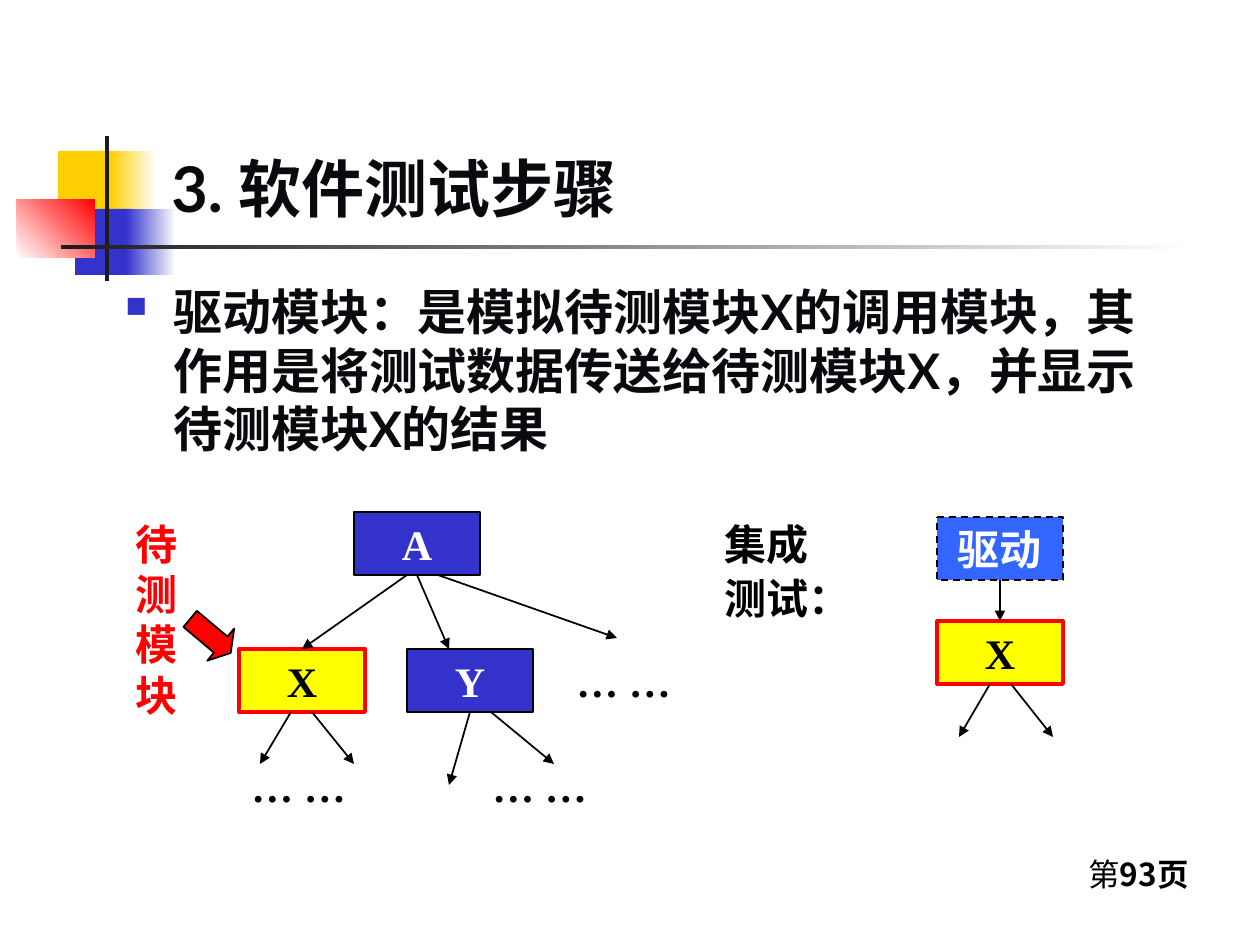
"""Build a slide on driver modules in software integration testing."""
from lxml.etree import SubElement
from pptx import Presentation
from pptx.dml.color import RGBColor
from pptx.enum.dml import MSO_LINE
from pptx.enum.shapes import MSO_CONNECTOR, MSO_SHAPE
from pptx.enum.text import MSO_ANCHOR, PP_ALIGN
from pptx.oxml.ns import qn
from pptx.util import Pt

PX = 914400 / 126
C = {
    "gold": "FFCF01", "blue": "3333CC", "white": "FFFFFF", "red": "FF0000",
    "rule": "1C1C1C", "ink": "0A0A0E", "black": "000000",
    "yellow": "FFFF00", "sky": "3366FF",
}
C = {name: RGBColor.from_string(value) for name, value in C.items()}
SERIF = "Times New Roman"
SANS = "Noto Sans CJK SC"


def style(r, size, color, name, bold=True):
    r.font.size = Pt(size)
    r.font.bold = bold
    r.font.name = name
    r.font.color.rgb = C[color]
    SubElement(r.font._element, qn("a:ea")).set("typeface", "Lato")


def add(kind, *box):
    box = [int(v * PX) for v in box]
    if kind is None:
        sp = s.shapes.add_textbox(*box)
        sp.text_frame.word_wrap = True
    else:
        sp = s.shapes.add_shape(kind, *box)
        sp.shadow.inherit = False
    return sp


prs = Presentation()
prs.slide_width = int(1260 * PX)
prs.slide_height = int(945 * PX)
s = prs.slides.add_slide(prs.slide_layouts[6])

for box, start, end, angle in [
    ((58, 151, 60, 66), "gold", None, 0),
    ((110, 151, 46, 66), "gold", "white", 0),
    ((75, 209, 58, 66), "blue", None, 0),
    ((126, 209, 50, 66), "blue", "white", 0),
    ((17, 199, 78, 59), "white", "red", 45),
    ((105, 136, 4, 145), "rule", None, 0),
    ((61, 245, 1134, 4), "rule", "white", 0),
]:
    sp = add(MSO_SHAPE.RECTANGLE, *box)
    sp.line.fill.background()
    if end:
        sp.fill.gradient()
        sp.fill.gradient_angle = angle
        for stop, color in zip(sp.fill.gradient_stops, (start, end)):
            stop.color.rgb = C[color]
    else:
        sp.fill.solid()
        sp.fill.fore_color.rgb = C[start]

tf = add(None, 159, 29, 1073, 202).text_frame
tf.vertical_anchor = MSO_ANCHOR.BOTTOM
tf.text = "3. 软件测试步骤"
style(tf.paragraphs[0].runs[0], 36, "ink", "Lato")

tf = add(None, 113, 275, 1071, 567).text_frame
tf.text = "驱动模块：是模拟待测模块X的调用模块，其作用是将测试数据传送给待测模块X，并显示待测模块X的结果"
p = tf.paragraphs[0]
pPr = p._p.get_or_add_pPr()
pPr.set("marL", str(int(48 * PX)))
pPr.set("indent", str(int(-48 * PX)))
SubElement(SubElement(pPr, qn("a:buClr")), qn("a:srgbClr")).set("val", str(C["blue"]))
SubElement(pPr, qn("a:buSzPct")).set("val", "60000")
SubElement(pPr, qn("a:buChar")).set("char", "■")
style(p.runs[0], 28, "ink", "Lato")

for x, y, text, fill, line, width, color in [
    (354, 512, "A", "blue", "black", 1, "white"),
    (239, 649, "X", "yellow", "red", 2.25, "black"),
    (407, 649, "Y", "blue", "black", 1, "white"),
    (937, 621, "X", "yellow", "red", 2.25, "black"),
    (937, 517, "驱动", "sky", "black", 1, "white"),
]:
    sp = add(MSO_SHAPE.FLOWCHART_PROCESS, x, y, 126, 63)
    sp.fill.solid()
    sp.fill.fore_color.rgb = C[fill]
    sp.line.color.rgb = C[line]
    sp.line.width = Pt(width)
    if fill == "sky":
        sp.line.dash_style = MSO_LINE.DASH
    tf = sp.text_frame
    tf.word_wrap = False
    tf.vertical_anchor = MSO_ANCHOR.MIDDLE
    tf.text = text
    tf.paragraphs[0].alignment = PP_ALIGN.CENTER
    style(tf.paragraphs[0].runs[0], 24, color, SERIF)

for box, text, color in [
    ((564, 649, 126, 63), "… …", "black"),
    ((480, 754, 126, 63), "… …", "black"),
    ((239, 754, 126, 63), "… …", "black"),
    ((123, 512, 100, 214), "待测模块", "red"),
    ((712, 512, 220, 118), "集成\n测试：", "black"),
]:
    tf = add(None, *box).text_frame
    tf.text = text
    for i, p in enumerate(tf.paragraphs):
        if i:
            p.space_before = Pt(2.4)
        style(p.runs[0], 24, color, SERIF)

for ends in [
    (407, 575, 302, 649), (417, 575, 449, 649), (438, 575, 617, 638),
    (291, 712, 260, 764), (312, 712, 354, 764),
    (470, 712, 449, 785), (491, 712, 554, 764),
    (990, 684, 959, 737), (1011, 684, 1053, 737), (1000, 580, 1000, 621),
]:
    ln = s.shapes.add_connector(MSO_CONNECTOR.STRAIGHT, *[int(v * PX) for v in ends])
    ln.line.color.rgb = C["black"]
    ln.line.width = Pt(1)
    SubElement(ln.line._get_or_add_ln(), qn("a:tailEnd")).set("type", "triangle")
    SubElement(ln._element.spPr, qn("a:effectLst"))

sp = add(MSO_SHAPE.RIGHT_ARROW, 184, 615, 53, 42)
sp.adjustments[1] = 0.31
sp.rotation = 40
sp.fill.solid()
sp.fill.fore_color.rgb = C["red"]
sp.line.color.rgb = C["black"]
sp.line.width = Pt(1)

p = add(None, 1076, 849, 136, 50).text_frame.paragraphs[0]
for text, bold in [("第", False), ("93页", True)]:
    r = p.add_run()
    r.text = text
    style(r, 18, "black", SANS, bold)

prs.save("out.pptx")
